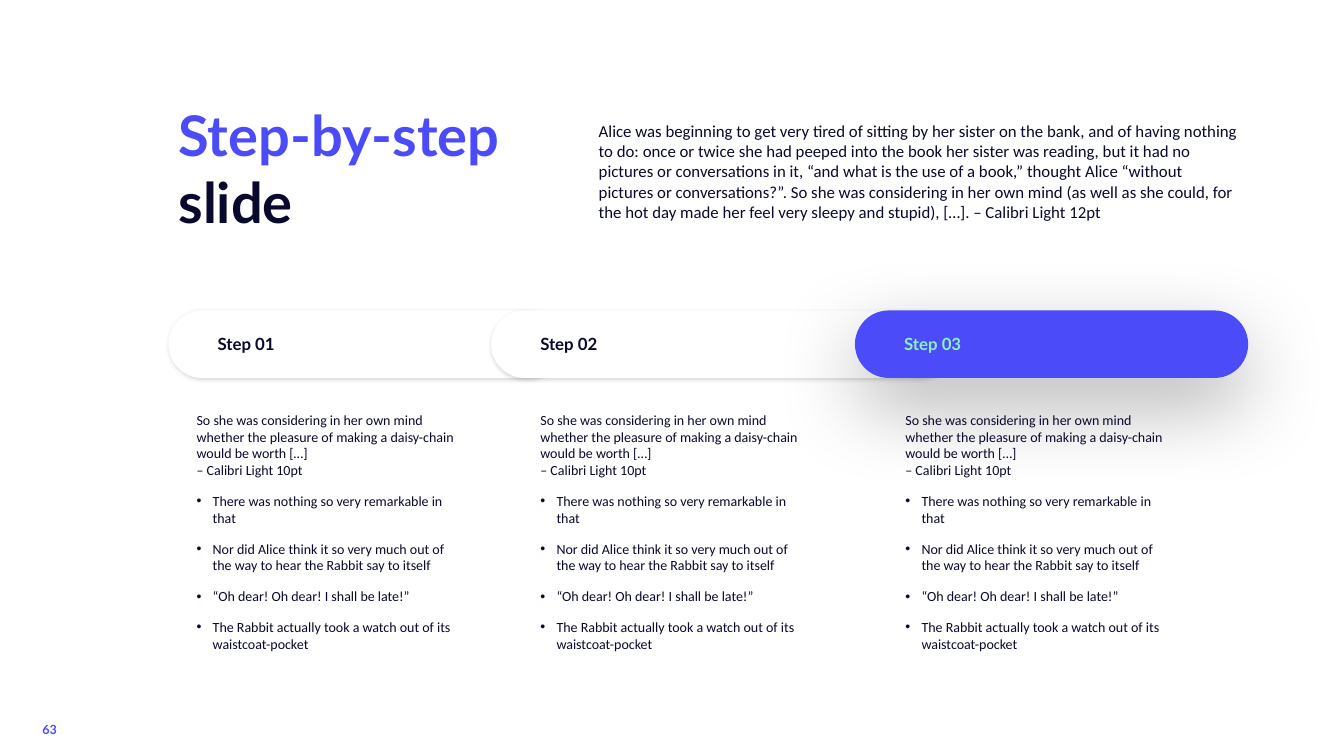
"""Build a step-by-step slide with three overlapping pills and their notes."""
from dataclasses import dataclass

from lxml import etree
from pptx import Presentation
from pptx import util as u
from pptx.dml.color import RGBColor
from pptx.enum import shapes, text
from pptx.oxml import ns

INDIGO = RGBColor(0x4B, 0x4B, 0xF9)
NAVY = RGBColor(0x09, 0x09, 0x2D)
MINT = RGBColor(0x8B, 0xF0, 0xBB)
WHITE = RGBColor(0xFF, 0xFF, 0xFF)
BLACK = RGBColor(0, 0, 0)

INTRO = (
    "Alice was beginning to get very tired of sitting by her sister on the bank, "
    "and of having nothing to do: once or twice she had peeped into the book her "
    "sister was reading, but it had no pictures or conversations in it, “and what "
    "is the use of a book,” thought Alice “without pictures or conversations?”. "
    "So she was considering in her own mind (as well as she could, for the hot day "
    "made her feel very sleepy and stupid), […]. – Calibri Light 12pt"
)
NOTE_LEAD = (
    "So she was considering in her own mind whether the pleasure of making a "
    "daisy-chain would be worth […]",
    "– Calibri Light 10pt",
)
NOTE_BULLETS = (
    "There was nothing so very remarkable in that",
    "Nor did Alice think it so very much out of the way to hear the Rabbit say to itself",
    "“Oh dear! Oh dear! I shall be late!”",
    "The Rabbit actually took a watch out of its waistcoat-pocket",
)


@dataclass(frozen=True)
class Style:
    name: str
    size: float
    color: RGBColor
    bold: bool = False


@dataclass(frozen=True)
class Shadow:
    alpha: int
    blur: float
    dist: float


@dataclass(frozen=True)
class Step:
    label: str
    left: float
    width: float
    note_left: float
    fill: RGBColor
    color: RGBColor
    shadow: Shadow


SOFT = Shadow(15, 3, 1)
DEEP = Shadow(30, 60, 20)
STEPS = (
    Step("Step 01", 1.67, 3.9, 1.95, WHITE, NAVY, SOFT),
    Step("Step 02", 4.87, 4.59, 5.36, WHITE, NAVY, SOFT),
    Step("Step 03", 8.48, 3.9, 8.98, INDIGO, MINT, DEEP),
)
NOTE = Style("Calibri", 10, NAVY)


def add_run(p, content: str, style: Style) -> None:
    """Append a formatted run to a paragraph."""
    r = p.add_run()
    r.text = content
    fmt = {"name": style.name, "size": u.Pt(style.size), "bold": style.bold}
    for key, value in fmt.items():
        setattr(r.font, key, value)
    r.font.color.rgb = style.color


def set_frame(sp, margins: tuple = (0.1, 0.05, 0.1, 0.05),
              anchor=text.MSO_ANCHOR.TOP):
    """Set wrapping, anchor and margins, and return the text frame."""
    tf = sp.text_frame
    left, top, right, bottom = (u.Inches(m) for m in margins)
    fmt = {
        "word_wrap": True,
        "auto_size": text.MSO_AUTO_SIZE.NONE,
        "vertical_anchor": anchor,
        "margin_left": left,
        "margin_top": top,
        "margin_right": right,
        "margin_bottom": bottom,
    }
    for key, value in fmt.items():
        setattr(tf, key, value)
    tf.paragraphs[0].alignment = text.PP_ALIGN.LEFT
    return tf


def add_box(s, left: float, top: float, width: float, height: float):
    """Add a text box measured in inches."""
    return s.shapes.add_textbox(*map(u.Inches, (left, top, width, height)))


def add_shadow(sp, shadow: Shadow) -> None:
    """Give a shape an outer shadow that falls straight down."""
    sp.shadow.inherit = False
    effects = sp._element.spPr.find(ns.qn("a:effectLst"))
    outer = etree.SubElement(
        effects, ns.qn("a:outerShdw"), blurRad=str(u.Pt(shadow.blur)),
        dist=str(u.Pt(shadow.dist)), dir="5400000", algn="t", rotWithShape="0")
    clr = etree.SubElement(outer, ns.qn("a:srgbClr"), val=str(BLACK))
    etree.SubElement(clr, ns.qn("a:alpha"), val=str(shadow.alpha * 1000))


def add_bullet(p) -> None:
    """Give a paragraph a round bullet with a hanging indent."""
    pPr = p._p.get_or_add_pPr()
    pPr.set("marL", str(u.Inches(0.16)))
    pPr.set("indent", str(u.Inches(-0.16)))
    clr = etree.SubElement(pPr, ns.qn("a:buClr"))
    etree.SubElement(clr, ns.qn("a:srgbClr"), val=str(NAVY))
    etree.SubElement(pPr, ns.qn("a:buFont"), typeface="Arial")
    etree.SubElement(pPr, ns.qn("a:buChar"), char="•")


def add_title(s) -> None:
    """Place and fill the two-colour title."""
    sp = s.shapes.title
    place = {"left": 1.67, "top": 0.95, "width": 3.9, "height": 3.47}
    for key, value in place.items():
        setattr(sp, key, u.Inches(value))
    p = set_frame(sp).paragraphs[0]
    add_run(p, "Step-by-step", Style("Lato", 40, INDIGO, True))
    p.add_line_break()
    add_run(p, "slide", Style("Lato", 40, NAVY, True))


def add_pill(s, step: Step) -> None:
    """Draw the labelled pill of a step."""
    sp = s.shapes.add_shape(
        shapes.MSO_SHAPE.ROUNDED_RECTANGLE,
        *map(u.Inches, (step.left, 3.08, step.width, 0.67)))
    sp.adjustments[0] = 0.5
    sp.fill.solid()
    sp.fill.fore_color.rgb = step.fill
    sp.line.fill.background()
    add_shadow(sp, step.shadow)
    tf = set_frame(sp, (0.39, 0, 0, 0), text.MSO_ANCHOR.MIDDLE)
    add_run(tf.paragraphs[0], step.label, Style("Lato", 12, step.color, True))


def add_note(s, step: Step) -> None:
    """Write the lead text and bullets below a step."""
    tf = set_frame(add_box(s, step.note_left, 4.03, 2.68, 2.52),
                   (0, 0.05, 0.1, 0.05))
    p = tf.paragraphs[0]
    add_run(p, NOTE_LEAD[0], NOTE)
    p.add_line_break()
    add_run(p, NOTE_LEAD[1], NOTE)
    for item in NOTE_BULLETS:
        p = tf.add_paragraph()
        p.space_before = u.Pt(10)
        add_bullet(p)
        add_run(p, item, NOTE)


def main() -> None:
    """Build and save the slide."""
    prs = Presentation()
    prs.slide_width, prs.slide_height = u.Inches(13.33), u.Inches(7.5)
    s = prs.slides.add_slide(prs.slide_layouts[5])
    add_title(s)
    number = set_frame(add_box(s, 0.37, 7.13, 0.4, 0.24), (0.05,) * 4).paragraphs[0]
    number.line_spacing = 0.9
    add_run(number, "63", Style("Lato", 9, INDIGO, True))
    intro = set_frame(add_box(s, 5.84, 1.15, 6.54, 1.12)).paragraphs[0]
    add_run(intro, INTRO, Style("Calibri", 12, NAVY))
    for step in STEPS:
        add_pill(s, step)
    for step in STEPS:
        add_note(s, step)
    prs.save("out.pptx")


if __name__ == "__main__":
    main()
